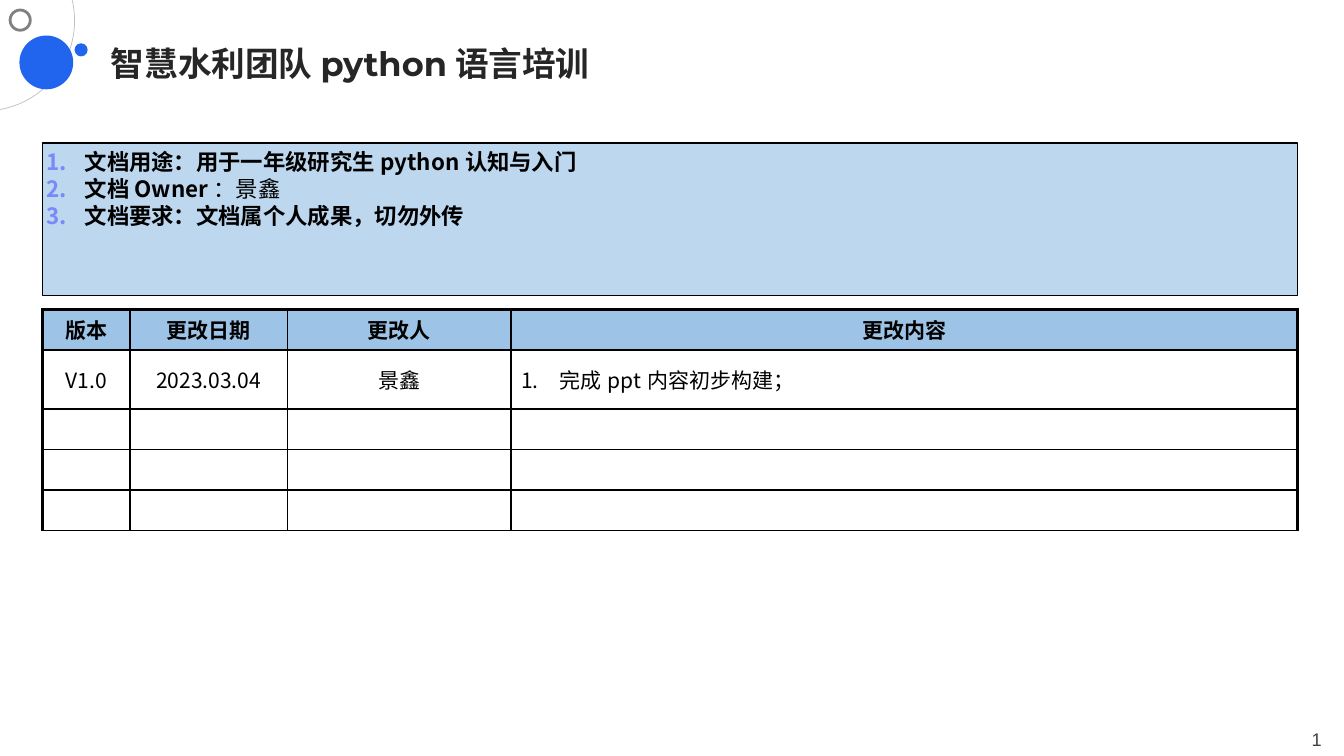
from dataclasses import dataclass

from lxml.etree import SubElement
from pptx import Presentation
from pptx.dml.color import RGBColor
from pptx.enum.shapes import MSO_SHAPE
from pptx.enum.text import MSO_ANCHOR, MSO_AUTO_SIZE, PP_ALIGN
from pptx.oxml.ns import qn
from pptx.util import Inches, Pt

SLIDE_WIDTH, SLIDE_HEIGHT = 13.33, 7.5
BODY_FONT = "Noto Sans CJK SC"
BLACK, BLUE = "000000", "2164ED"
CONTENT_LEFT, CONTENT_WIDTH = 3.15, 93.4


@dataclass
class Ornament:
    kind: MSO_SHAPE
    left: float
    top: float
    size: float  # percent of the slide height
    fill: str | None = None
    line: str | None = None
    line_width: float = 0


@dataclass
class Phrase:
    text: str
    bold: bool = True


ORNAMENTS = [
    Ornament(MSO_SHAPE.ARC, -7.88, -9.2, 23.87, line="BFBFBF", line_width=0.5),
    Ornament(MSO_SHAPE.OVAL, 1.5, 4.8, 6.93, BLUE, BLUE, 1),
    Ornament(MSO_SHAPE.OVAL, 5.55, 5.73, 1.73, BLUE),
    Ornament(MSO_SHAPE.OVAL, 0.75, 1.33, 2.67, line="808080", line_width=2),
]
NOTES = [
    [Phrase("文档用途：用于一年级研究生python认知与入门")],
    [Phrase("文档Owner"), Phrase("：景鑫", False)],
    [Phrase("文档要求：文档属个人成果，切勿外传")],
]
COLUMN_WIDTHS = [6.53, 11.7, 16.65, 58.52]
ROW_HEIGHTS = [5.37, 7.8, 5.37, 5.37, 5.37]
REVISIONS = [
    ["版本", "更改日期", "更改人", "更改内容"],
    ["V1.0", "2023.03.04", "景鑫", "完成ppt内容初步构建；"],
]


def across(percent: float) -> int:
    return Inches(SLIDE_WIDTH * percent / 100)


def down(percent: float) -> int:
    return Inches(SLIDE_HEIGHT * percent / 100)


def color(value: str) -> RGBColor:
    return RGBColor.from_string(value)


def place(shape, left: float, top: float, width: float, height: float) -> None:
    shape.left, shape.top = across(left), down(top)
    shape.width, shape.height = across(width), down(height)


def paint(shape, fill: str | None, line: str | None, line_width: float) -> None:
    if fill:
        shape.fill.solid()
        shape.fill.fore_color.rgb = color(fill)
    else:
        shape.fill.background()
    if line:
        shape.line.color.rgb = color(line)
        shape.line.width = Pt(line_width)
    else:
        shape.line.fill.background()


def set_font(paragraph, size: float, name: str = BODY_FONT,
             value: str = BLACK, bold: bool | None = False) -> None:
    font = paragraph.font
    font.size, font.name, font.bold = Pt(size), name, bold
    font.color.rgb = color(value)
    defaults = paragraph._p.pPr.find(qn("a:defRPr"))
    SubElement(defaults, qn("a:ea")).set("typeface", BODY_FONT)


def number(paragraph, indent: float, value: str | None = None) -> None:
    properties = paragraph._p.get_or_add_pPr()
    properties.set("marL", str(Inches(indent)))
    properties.set("indent", str(-Inches(indent)))
    if value:
        bullet_color = SubElement(properties, qn("a:buClr"))
        SubElement(bullet_color, qn("a:srgbClr")).set("val", value)
    SubElement(properties, qn("a:buFont")).set("typeface", "+mj-lt")
    SubElement(properties, qn("a:buAutoNum")).set("type", "arabicPeriod")


def add_border(cell, side: str, width: float) -> None:
    line = SubElement(cell._tc.get_or_add_tcPr(), qn(f"a:{side}"), w=str(Pt(width)))
    fill = SubElement(line, qn("a:solidFill"))
    SubElement(fill, qn("a:srgbClr")).set("val", BLACK)


def add_ornament(slide, ornament: Ornament) -> None:
    size = down(ornament.size)
    shape = slide.shapes.add_shape(ornament.kind, across(ornament.left),
                                   down(ornament.top), size, size)
    shape.shadow.inherit = False
    paint(shape, ornament.fill, ornament.line, ornament.line_width)
    if ornament.kind == MSO_SHAPE.ARC:
        # Right half of the circle, 270 to 90 degrees
        shape.adjustments[0], shape.adjustments[1] = 162, 54


def add_slide_number(slide) -> None:
    box = slide.shapes.add_textbox(across(96.85), down(95.73), across(3.23), down(4.27))
    box.text_frame.word_wrap = False
    paragraph = box.text_frame.paragraphs[0]
    set_font(paragraph, 13, "Arial", "404040")
    field = SubElement(paragraph._p, qn("a:fld"), type="slidenum",
                       id="{B6F15528-21DE-4FAA-801E-634DDDAF4B2B}")
    SubElement(field, qn("a:rPr"), lang="zh-CN", sz="1300")
    SubElement(field, qn("a:t")).text = "1"


def fill_title(title) -> None:
    place(title, 7.5, 5.47, 78.62, 6.4)
    frame = title.text_frame
    frame.auto_size = MSO_AUTO_SIZE.NONE
    frame.vertical_anchor = MSO_ANCHOR.MIDDLE
    frame.text = "智慧水利团队python语言培训"
    paragraph = frame.paragraphs[0]
    paragraph.alignment, paragraph.line_spacing = PP_ALIGN.LEFT, 0.9
    set_font(paragraph, 24, "Montserrat", "262626", True)


def fill_notes(body) -> None:
    place(body, CONTENT_LEFT, 18.93, CONTENT_WIDTH, 20.13)
    paint(body, "BDD7EE", BLACK, 1)
    frame = body.text_frame
    frame.auto_size = MSO_AUTO_SIZE.NONE
    frame.vertical_anchor = MSO_ANCHOR.TOP
    frame.margin_left = frame.margin_right = Inches(0.04)
    frame.margin_top = frame.margin_bottom = Inches(0.05)
    for index, phrases in enumerate(NOTES):
        paragraph = frame.add_paragraph() if index else frame.paragraphs[0]
        paragraph.space_before, paragraph.line_spacing = Pt(0), 1.0
        paragraph.alignment = PP_ALIGN.LEFT
        number(paragraph, 0.38, "7889FB")
        set_font(paragraph, 16, bold=None)
        for phrase in phrases:
            run = paragraph.add_run()
            run.text, run.font.bold = phrase.text, phrase.bold


def add_revision_table(slide) -> None:
    frame = slide.shapes.add_table(len(ROW_HEIGHTS), len(COLUMN_WIDTHS),
                                   across(CONTENT_LEFT), down(40.93),
                                   across(CONTENT_WIDTH), down(sum(ROW_HEIGHTS)))
    table = frame.table
    table.first_row = table.horz_banding = False
    for column, width in zip(table.columns, COLUMN_WIDTHS):
        column.width = across(width)
    last = len(COLUMN_WIDTHS) - 1
    for row_index, height in enumerate(ROW_HEIGHTS):
        table.rows[row_index].height = down(height)
        header = row_index == 0
        for column_index in range(last + 1):
            cell = table.cell(row_index, column_index)
            # Thick outer edges, thin inner ones
            add_border(cell, "lnL", 2.25 if column_index == 0 else 1)
            add_border(cell, "lnR", 2.25 if column_index == last else 1)
            add_border(cell, "lnT", 2.25 if header else 1)
            add_border(cell, "lnB", 1)
            if header:
                cell.fill.solid()
                cell.fill.fore_color.rgb = color("9DC3E6")
            else:
                cell.fill.background()
            if row_index < len(REVISIONS):
                cell.text = REVISIONS[row_index][column_index]
                cell.vertical_anchor = MSO_ANCHOR.TOP if header else MSO_ANCHOR.MIDDLE
                paragraph = cell.text_frame.paragraphs[0]
                if column_index == last and not header:
                    number(paragraph, 0.38)
                else:
                    paragraph.alignment = PP_ALIGN.CENTER
                set_font(paragraph, 15, bold=header)


def main() -> None:
    presentation = Presentation()
    presentation.slide_width = Inches(SLIDE_WIDTH)
    presentation.slide_height = Inches(SLIDE_HEIGHT)
    slide = presentation.slides.add_slide(presentation.slide_layouts[1])
    add_slide_number(slide)
    for ornament in ORNAMENTS:
        add_ornament(slide, ornament)
    fill_title(slide.shapes.title)
    fill_notes(slide.placeholders[1])
    add_revision_table(slide)
    presentation.save("out.pptx")


if __name__ == "__main__":
    main()
